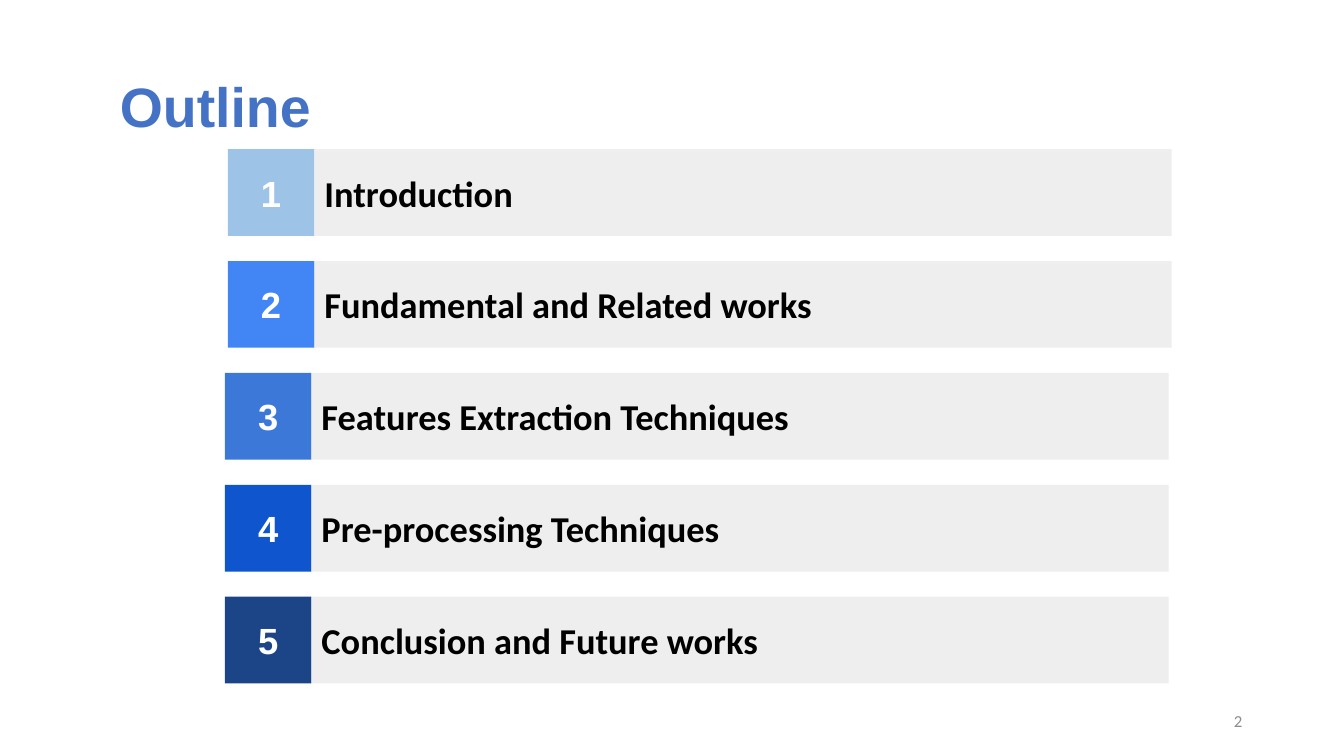
import dataclasses
import typing

import pptx
import pptx.dml.color
import pptx.enum.shapes
import pptx.enum.text
import pptx.util

ALIGN = pptx.enum.text.PP_ALIGN
HUES = {
    "title": "4472C4",
    "sky": "9DC3E6",
    "azure": "4285F4",
    "blue": "3B78D8",
    "cobalt": "0F55CD",
    "navy": "1C4588",
    "bar": "EEEEEE",
    "white": "FFFFFF",
    "black": "000000",
    "grey": "8C8C8C",
}
STYLES = {
    "title": ({"name": "Arial", "size": pptx.util.Pt(39.6), "bold": True}, "title", ALIGN.LEFT),
    "digit": ({"name": "Arial", "size": pptx.util.Pt(26), "bold": True}, "white", ALIGN.CENTER),
    "topic": ({"name": "Calibri", "size": pptx.util.Pt(26), "bold": True}, "black", ALIGN.LEFT),
    "page": ({"name": "Calibri", "size": pptx.util.Pt(12), "bold": False}, "grey", ALIGN.RIGHT),
}
WIDE = pptx.util.Inches(13.33)
HIGH = pptx.util.Inches(7.5)
TOP, STEP, TALL = 19.73, 14.8, 11.47
TILE, BAR = 6.45, 63.77


@dataclasses.dataclass(frozen=True)
class Box:
    left: float
    top: float
    width: float
    height: float

    def place(self) -> list[int]:
        pairs = ((self.left, WIDE), (self.top, HIGH), (self.width, WIDE), (self.height, HIGH))
        return [round(share * full / 100) for share, full in pairs]


@dataclasses.dataclass(frozen=True)
class Topic:
    text: str
    hue: str
    left: float


TOPICS = (
    Topic("Introduction", "sky", 16.95),
    Topic("Fundamental and Related works", "azure", 16.95),
    Topic("Features Extraction Techniques", "blue", 16.73),
    Topic("Pre-processing Techniques", "cobalt", 16.73),
    Topic("Conclusion and Future works", "navy", 16.73),
)


def color(hue: str) -> pptx.dml.color.RGBColor:
    return pptx.dml.color.RGBColor.from_string(HUES[hue])


def write(shape: typing.Any, text: str, style: str, pitch: float = 1.0) -> None:
    look, hue, align = STYLES[style]
    frame = shape.text_frame
    frame.word_wrap = True
    frame.vertical_anchor = pptx.enum.text.MSO_ANCHOR.MIDDLE
    line = frame.paragraphs[0]
    line.alignment = align
    line.line_spacing = pitch
    run = line.add_run()
    run.text = text
    for key, value in look.items():
        setattr(run.font, key, value)
    run.font.color.rgb = color(hue)


def block(group: typing.Any, box: Box, hue: str, text: str, style: str) -> None:
    shape = group.shapes.add_shape(pptx.enum.shapes.MSO_SHAPE.RECTANGLE, *box.place())
    shape.shadow.inherit = False
    shape.fill.solid()
    shape.fill.fore_color.rgb = color(hue)
    shape.line.fill.background()
    write(shape, text, style)


def main() -> None:
    deck = pptx.Presentation()
    deck.slide_width, deck.slide_height = WIDE, HIGH
    slide = deck.slides.add_slide(deck.slide_layouts[6])

    title = slide.shapes.add_textbox(*Box(8.18, 10.27, 69.92, 8.4).place())
    write(title, "Outline", "title", 0.9)

    for index, topic in enumerate(TOPICS):
        top = TOP + index * STEP
        group = slide.shapes.add_group_shape()
        block(group, Box(topic.left, top, TILE, TALL), topic.hue, str(index + 1), "digit")
        block(group, Box(topic.left + TILE, top, BAR, TALL), "bar", topic.text, "topic")

    page = slide.shapes.add_textbox(*Box(70.67, 92.67, 22.5, 5.33).place())
    write(page, "2", "page")
    deck.save("out.pptx")


if __name__ == "__main__":
    main()
